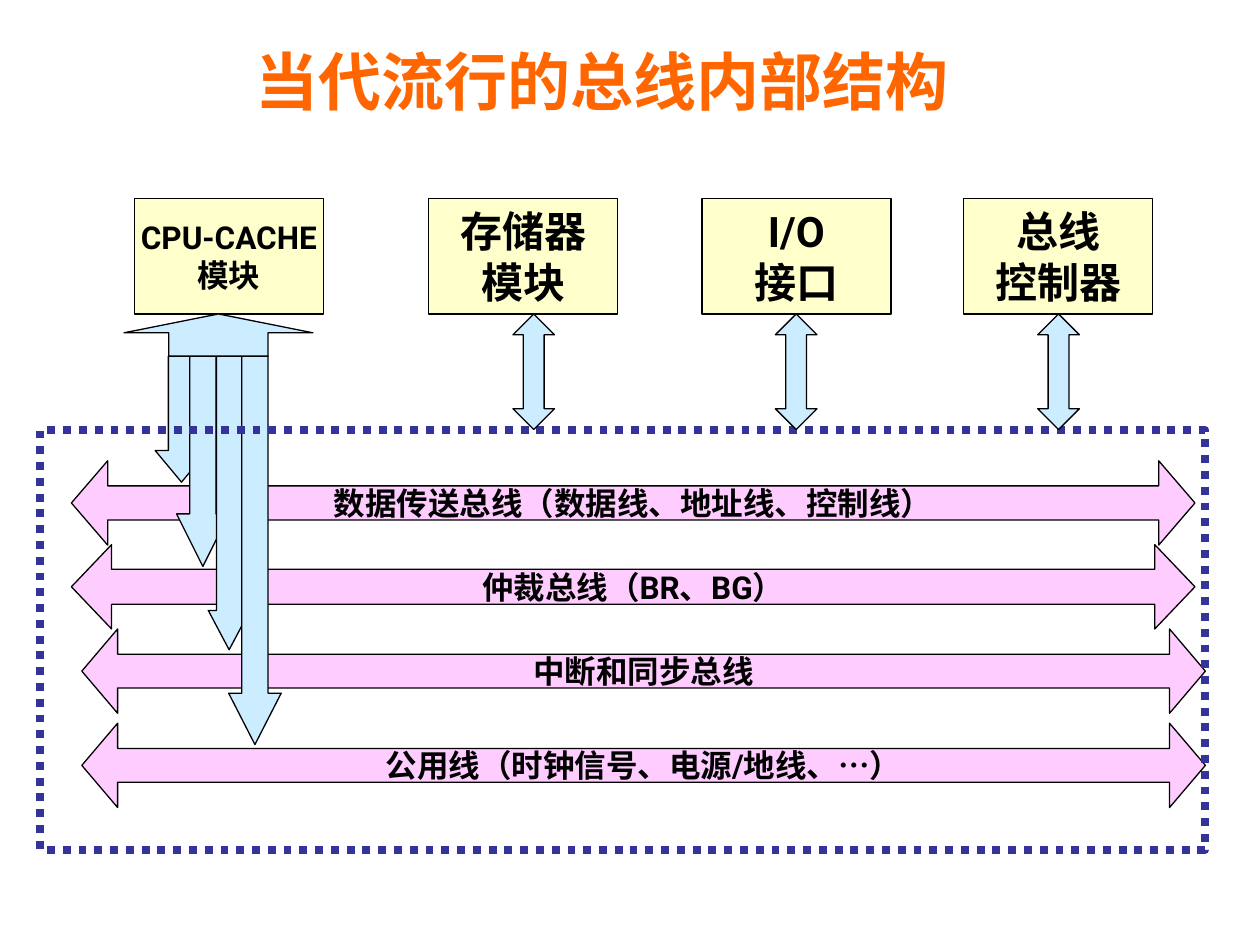
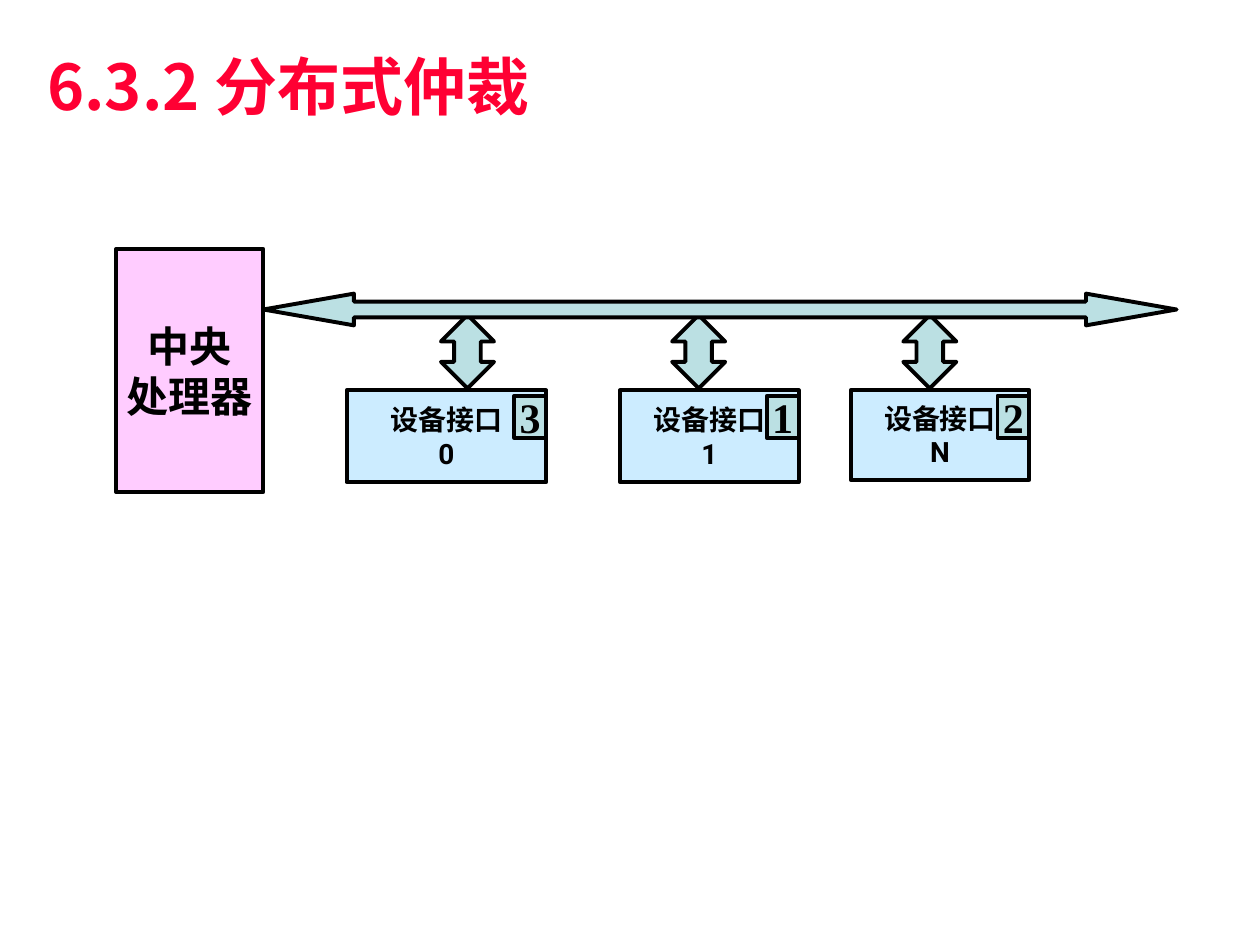
"""Build two slides on bus structure and distributed arbitration."""
from lxml.etree import SubElement
from pptx import Presentation
from pptx.dml.color import RGBColor
from pptx.enum.dml import MSO_LINE
from pptx.enum.shapes import MSO_SHAPE
from pptx.enum.text import MSO_ANCHOR, MSO_AUTO_SIZE, PP_ALIGN
from pptx.oxml.ns import qn
from pptx.util import Cm, Pt

COLORS = {
    "ink": "000000", "orange": "FF6600", "red": "FF0033", "cream": "FFFFCC",
    "pink": "FFCCFF", "sky": "CCECFF", "teal": "BBE0E3", "navy": "333399",
}
HAN, LATIN, SERIF = "Noto Sans CJK SC", "Roboto", "Times New Roman"
THIN, THICK = 0.75, 2.25

STRUCTURE_TITLE = "当代流行的总线内部结构"
MODULES = [
    ("CPU-CACHE\n模块", 2.71, 18),
    ("存储器\n模块", 8.64, 24),
    ("I/O\n接口", 14.15, 24),
    ("总线\n控制器", 19.43, 24),
]
BUSES = [
    ("数据传送总线（数据线、地址线、控制线）", 1.44, 9.29, (0.404, 0.43)),
    ("仲裁总线（BR、BG）", 1.44, 10.98, (0.417, 0.477)),
    ("中断和同步总线", 1.65, 12.68, (0.401, 0.425)),
    ("公用线（时钟信号、电源/地线、…）", 1.65, 14.58, (0.401, 0.425)),
]
CPU_BRANCHES = [
    (3.13, 1.06, 2.54, (0.5, 0.6)),
    (3.56, 1.06, 4.24, (0.5, 1)),
    (4.2, 0.84, 5.92, (0.604, 0.943)),
    (4.61, 1.06, 7.83, (0.5, 0.977)),
]
MODULE_TOP, MODULE_WIDTH, MODULE_HEIGHT = 4, 3.81, 2.33
LINK_TOP, LINK_START, LINK_STEP = 6.33, 10.34, 5.29
TRUNK_HEIGHT = 0.85

ARBITRATION_TITLE = "6.3.2 分布式仲裁"
PROCESSOR = "中央\n处理器"
INTERFACES = [
    ("设备接口\n0", "3", 6.99, 4.02, 1.85),
    ("设备接口\n1", "1", 12.5, 3.6, 1.85),
    ("设备接口\nN", "2", 17.15, 3.6, 1.8),
]
INTERFACE_TOP, BADGE_WIDTH = 7.87, 0.64
DROP_START, DROP_STEP = 8.89, 4.66


def write(frame, text, size, color="ink", latin=LATIN, align=PP_ALIGN.CENTER):
    """Fill a text frame with bold paragraphs."""
    frame.text = text
    look = {"size": Pt(size), "bold": True, "name": latin}
    for paragraph in frame.paragraphs:
        paragraph.alignment = align
        for run in paragraph.runs:
            for key, value in look.items():
                setattr(run.font, key, value)
            run.font.color.rgb = RGBColor.from_string(COLORS[color])
            SubElement(run._r.get_or_add_rPr(), qn("a:ea"), typeface=HAN)


def add_titled_slide(deck, text, color, box, anchor):
    """Add a title-only slide with its heading placed."""
    slide = deck.slides.add_slide(deck.slide_layouts[5])
    heading = slide.shapes.title
    for side, length in zip(("left", "top", "width", "height"), box):
        setattr(heading, side, Cm(length))
    frame = heading.text_frame
    settings = {"vertical_anchor": anchor, "word_wrap": True,
                "auto_size": MSO_AUTO_SIZE.NONE}
    for key, value in settings.items():
        setattr(frame, key, value)
    write(frame, text, 36, color, HAN, PP_ALIGN.LEFT)
    return slide


def draw(slide, kind, box, fill, weight, adjust=(), line="ink"):
    """Draw one outlined shape, unfilled when fill is None."""
    part = slide.shapes.add_shape(kind, *map(Cm, box))
    part.shadow.inherit = False
    for index, value in enumerate(adjust):
        part.adjustments[index] = value
    if fill:
        part.fill.solid()
        part.fill.fore_color.rgb = RGBColor.from_string(COLORS[fill])
    else:
        part.fill.background()
    part.line.color.rgb = RGBColor.from_string(COLORS[line])
    part.line.width = Pt(weight)
    return part


def draw_link(slide, box, fill, weight, shaft, head):
    """Draw a vertical double arrow, whose head adjustment comes first."""
    draw(slide, MSO_SHAPE.UP_DOWN_ARROW, box, fill, weight, (head, shaft))


def label(part, text, size, latin=LATIN):
    """Centre unwrapped text in a shape."""
    part.text_frame.word_wrap = False
    part.text_frame.vertical_anchor = MSO_ANCHOR.MIDDLE
    write(part.text_frame, text, size, latin=latin)


def build_structure(deck):
    """Show the modules linked to the four internal buses."""
    slide = add_titled_slide(deck, STRUCTURE_TITLE, "orange",
                             (4.9, 0.72, 16.21, 1.78), MSO_ANCHOR.TOP)
    for name, left, size in MODULES:
        box = (left, MODULE_TOP, MODULE_WIDTH, MODULE_HEIGHT)
        module = draw(slide, MSO_SHAPE.FLOWCHART_PROCESS, box, "cream", THIN)
        label(module, name, size)
    for name, left, top, adjust in BUSES:
        bus = draw(slide, MSO_SHAPE.LEFT_RIGHT_ARROW, (left, top, 22.65, 1.7),
                   "pink", THIN, adjust)
        label(bus, name, 18)
    for left, width, height, adjust in CPU_BRANCHES:
        box = (left, LINK_TOP + TRUNK_HEIGHT, width, height)
        draw(slide, MSO_SHAPE.DOWN_ARROW, box, "sky", THIN, adjust)
    draw(slide, MSO_SHAPE.UP_ARROW, (2.5, LINK_TOP, 3.81, TRUNK_HEIGHT),
         "sky", THIN, (0.525, 0.448))
    boundary = draw(slide, MSO_SHAPE.RECTANGLE, (0.81, 8.67, 23.49, 8.46),
                    None, 4.5, line="navy")
    boundary.line.dash_style = MSO_LINE.ROUND_DOT
    for index in range(len(MODULES) - 1):
        box = (LINK_START + index * LINK_STEP, LINK_TOP, 0.84, 2.33)
        draw_link(slide, box, "sky", THIN, 0.5, 0.547)


def build_arbitration(deck):
    """Show the processor, the shared bus and the numbered interfaces."""
    slide = add_titled_slide(deck, ARBITRATION_TITLE, "red",
                             (0.7, 0.53, 22.86, 2.39), MSO_ANCHOR.MIDDLE)
    processor = draw(slide, MSO_SHAPE.RECTANGLE, (2.34, 5.02, 2.97, 4.9),
                     "pink", THICK)
    label(processor, PROCESSOR, 24)
    for index, (name, number, left, width, height) in enumerate(INTERFACES):
        interface = draw(slide, MSO_SHAPE.FLOWCHART_PROCESS,
                         (left, INTERFACE_TOP, width, height), "sky", THICK)
        label(interface, name, 16)
        badge = draw(slide, MSO_SHAPE.RECTANGLE,
                     (left + width - BADGE_WIDTH, 7.98, BADGE_WIDTH, 0.85),
                     "teal", THICK)
        label(badge, number, 24, SERIF)
        drop = (DROP_START + index * DROP_STEP, 6.35, 1.07, 1.48)
        draw_link(slide, drop, "teal", THICK, 0.5, 0.279)
    draw(slide, MSO_SHAPE.LEFT_RIGHT_ARROW, (5.31, 5.92, 18.41, 0.64),
         "teal", THICK, (0.5, 2.854))


def main():
    """Create and save the deck."""
    deck = Presentation()
    deck.slide_width, deck.slide_height = Cm(25.4), Cm(19.05)
    build_structure(deck)
    build_arbitration(deck)
    deck.save("out.pptx")


if __name__ == "__main__":
    main()
